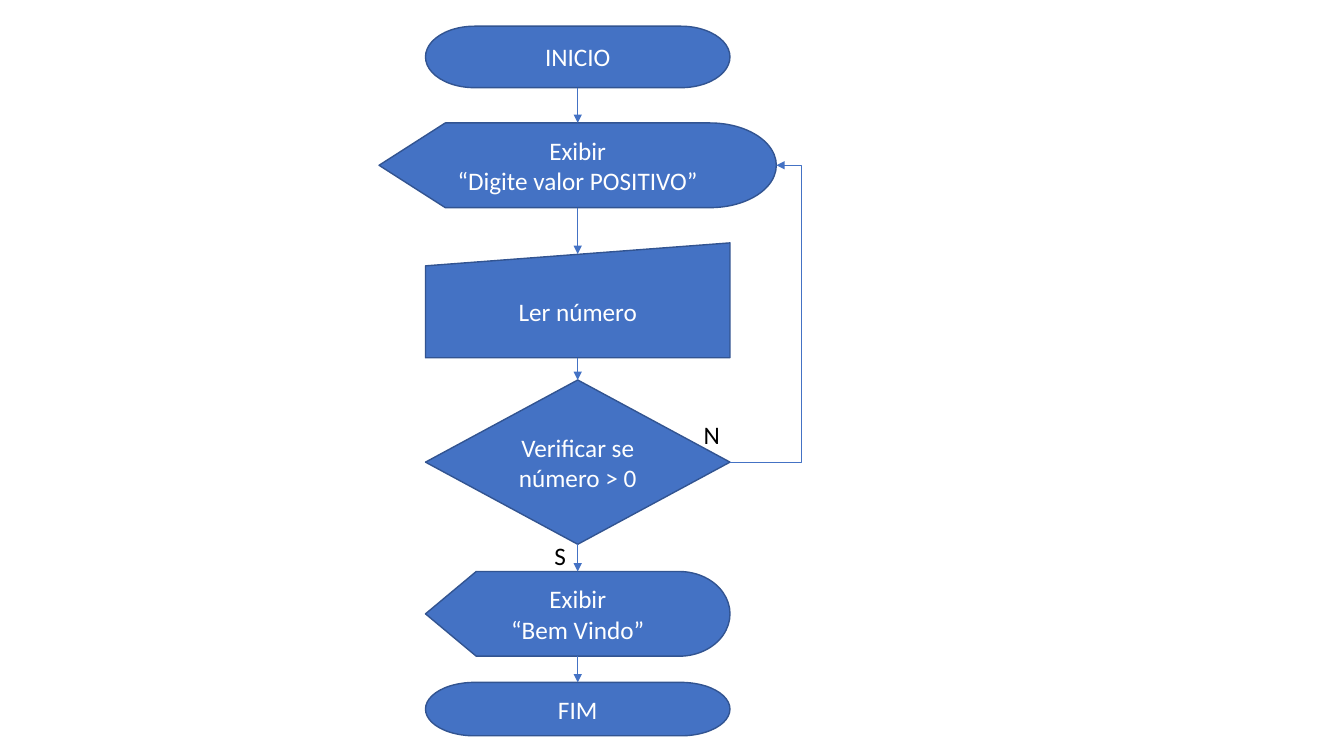
from lxml import etree
from pptx import Presentation
from pptx.dml.color import RGBColor
from pptx.enum import shapes, text
from pptx.oxml import ns
from pptx.util import Inches, Pt

BLUE = RGBColor(0x44, 0x72, 0xC4)
DARK_BLUE = RGBColor(0x32, 0x54, 0x91)
WHITE = RGBColor(0xFF, 0xFF, 0xFF)
BLACK = RGBColor(0, 0, 0)
CENTER = 5.73
TOP, BOTTOM, RIGHT = 0, 2, 3  # connection sites


def write(frame, lines, color, align):
    frame.text = "\n".join(lines)
    for para in frame.paragraphs:
        para.alignment = align
        para.font.name = "Calibri"
        para.font.size = Pt(18)
        para.font.color.rgb = color


def link(kind, start, start_site, end, end_site):
    arrow = page.shapes.add_connector(kind, 0, 0, 0, 0)
    arrow.begin_connect(start, start_site)
    arrow.end_connect(end, end_site)
    arrow.line.color.rgb = BLUE
    arrow.line.width = Pt(0.5)
    etree.SubElement(arrow.line._get_or_add_ln(), ns.qn("a:tailEnd"), type="triangle")
    etree.SubElement(arrow._element.spPr, ns.qn("a:effectLst"))
    return arrow


deck = Presentation()
deck.slide_width, deck.slide_height = Inches(13.33), Inches(7.5)
page = deck.slides.add_slide(deck.slide_layouts[6])

# Flowchart steps: shape, top, width, height, lines
SHAPE = shapes.MSO_SHAPE
steps = [
    (SHAPE.FLOWCHART_TERMINATOR, 0.26, 3.02, 0.61, ["INICIO"]),
    (SHAPE.FLOWCHART_DISPLAY, 1.22, 3.94, 0.84, ["Exibir", "“Digite valor POSITIVO”"]),
    (SHAPE.FLOWCHART_MANUAL_INPUT, 2.41, 3.02, 1.14, ["Ler número"]),
    (SHAPE.FLOWCHART_DECISION, 3.77, 3.02, 1.63, ["Verificar se número > 0"]),
    (SHAPE.FLOWCHART_DISPLAY, 5.67, 3.02, 0.84, ["Exibir", "“Bem Vindo”"]),
    (SHAPE.FLOWCHART_TERMINATOR, 6.77, 3.02, 0.53, ["FIM"]),
]
boxes = []
for kind, top, width, height, lines in steps:
    box = page.shapes.add_shape(kind, Inches(CENTER - width / 2), Inches(top),
                                Inches(width), Inches(height))
    box.shadow.inherit = False
    box.fill.solid()
    box.fill.fore_color.rgb = BLUE
    box.line.color.rgb = DARK_BLUE
    box.line.width = Pt(1)
    box.text_frame.vertical_anchor = text.MSO_ANCHOR.MIDDLE
    write(box.text_frame, lines, WHITE, text.PP_ALIGN.CENTER)
    boxes.append(box)
start, prompt, entry, check, welcome, finish = boxes

# Arrows from each step to the next
for upper, lower in zip(boxes, boxes[1:]):
    arrow = link(shapes.MSO_CONNECTOR.STRAIGHT, upper, BOTTOM, lower, TOP)
    if lower is entry:
        arrow.end_y = Inches(2.52)  # middle of the sloping edge

# Loop back to the prompt when the check fails
loop = link(shapes.MSO_CONNECTOR.ELBOW, check, RIGHT, prompt, RIGHT)
bend = round((Inches(7.95) - loop.begin_x) / (loop.end_x - loop.begin_x) * 100000)
guides = loop._element.spPr.find(ns.qn("a:prstGeom")).get_or_add_avLst()
etree.SubElement(guides, ns.qn("a:gd"), name="adj1", fmla=f"val {bend}")

# Branch labels
for label, left, top, width in [("S", 5.4, 5.31, 0.32), ("N", 6.88, 4.11, 0.36)]:
    box = page.shapes.add_textbox(Inches(left), Inches(top), Inches(width), Inches(0.4))
    box.text_frame.word_wrap = False
    box.text_frame.auto_size = text.MSO_AUTO_SIZE.SHAPE_TO_FIT_TEXT
    write(box.text_frame, [label], BLACK, text.PP_ALIGN.LEFT)

deck.save("out.pptx")
